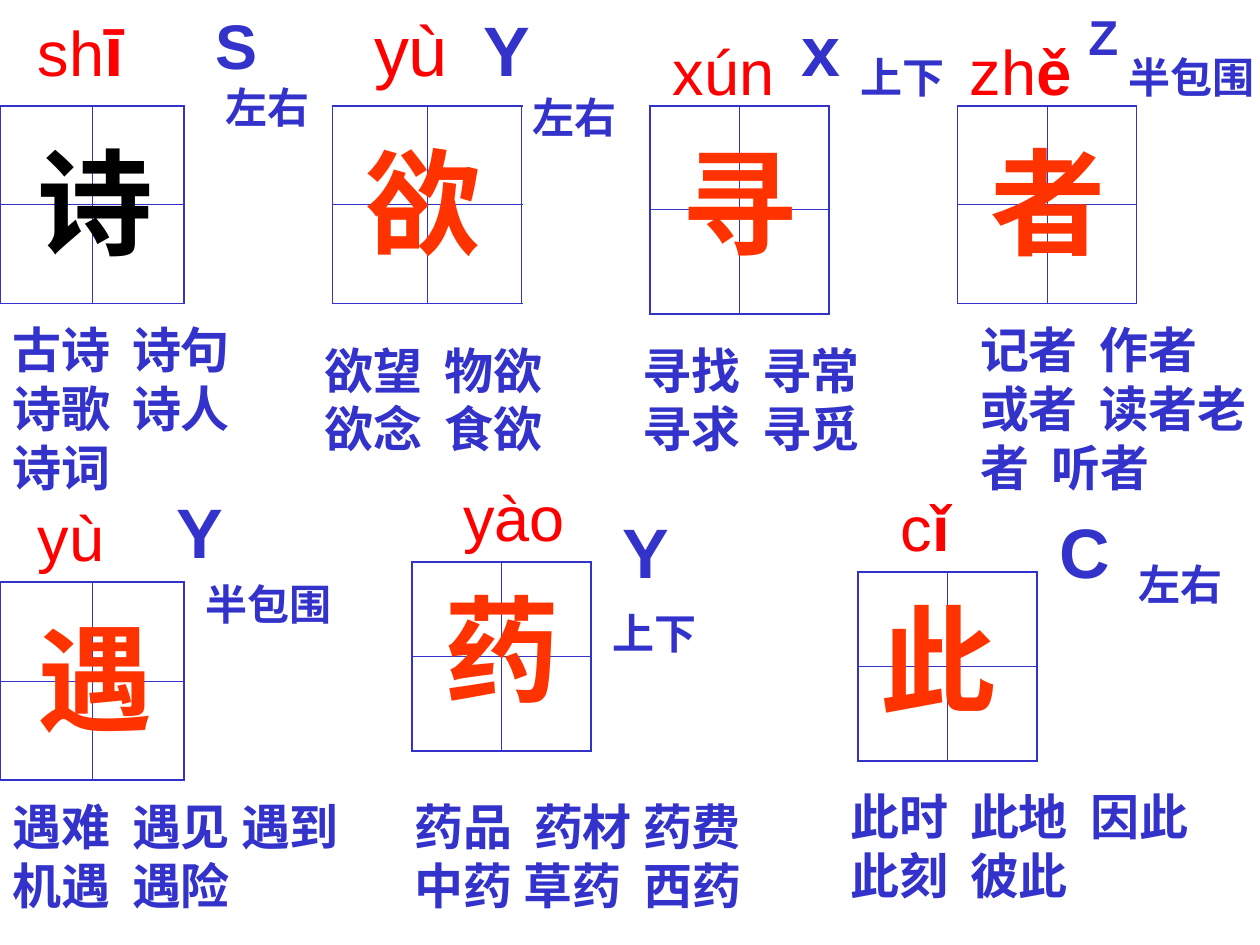
from lxml.etree import SubElement as Sub
from pptx import Presentation
from pptx.enum.text import MSO_AUTO_SIZE as Auto
from pptx.dml.color import RGBColor as RGB
from pptx.oxml.ns import qn
from pptx.util import Inches, Pt

INK = {"blue": "3333CC", "red": "FF0000", "orange": "FF3300", "black": "000000"}

deck = Presentation()
deck.slide_width, deck.slide_height = Inches(10), Inches(7.5)
slide = deck.slides.add_slide(deck.slide_layouts[6])
col, row = deck.slide_width / 100, deck.slide_height / 75


def label(place, runs, ink, lines=1, stops=()):
    """Add a text box; place is left, top, width and runs are (text, size, bold)."""
    x, y, w = place
    high = lines * Pt(runs[0][1]) * 1.2 + row
    box = slide.shapes.add_textbox(int(x * col), int(y * row), int(w * col), int(high))
    frame = box.text_frame
    frame.word_wrap = True
    frame.auto_size = Auto.SHAPE_TO_FIT_TEXT
    para = frame.paragraphs[0]
    if stops:
        tabs = Sub(para._p.get_or_add_pPr(), qn("a:tabLst"))
        for stop in stops:
            Sub(tabs, qn("a:tab"), pos=str(int(stop * col)), algn="l")
    for text, size, bold in runs:
        run = para.add_run()
        run.text = text
        run.font.name = "Arial"
        run.font.size = Pt(size)
        run.font.bold = bold
        run.font.color.rgb = RGB.from_string(INK[ink])


def grid(x, y, w, h):
    """Add a two by two writing square with a thick rim and a thin cross."""
    table = slide.shapes.add_table(
        2, 2, int(x * col), int(y * row), int(w * col), int(h * row)).table
    table.first_row = table.horz_banding = False
    for r in range(2):
        for c in range(2):
            cell = table.cell(r, c)
            rim = {"lnL": c == 0, "lnR": c == 1, "lnT": r == 0, "lnB": r == 1}
            for side, thick in rim.items():
                line = Sub(cell._tc.get_or_add_tcPr(), qn("a:" + side),
                           w=str(Pt(1.08 if thick else 0.45)))
                Sub(Sub(line, qn("a:solidFill")), qn("a:srgbClr"), val=INK["blue"])
            cell.fill.background()


# Character, its ink and place; square; pinyin runs and place;
# initial, size and place; structure and place
signs = [
    ("诗", "black", (2, 9.9, 10.2), (0, 8.4, 14.6, 15.7),
     [("sh", 36, False), ("ī", 40, True)], (2, 0, 16.5),
     "S", 36, (16.1, 0, 4.7), "左右", (16.9, 6, 9.5)),
    ("欲", "orange", (28, 9.9, 10.2), (26.4, 8.4, 15, 15.7),
     [("yù", 40, False)], (28.7, 0, 10.2),
     "Y", 40, (37.4, 0, 5.5), "左右", (41.3, 6.8, 12.6)),
    ("寻", "orange", (53.1, 9.9, 9.4), (51.6, 8.4, 14.2, 16.5),
     [("xún", 36, False)], (52.4, 2.1, 11),
     "x", 40, (62.6, 0, 4.7), "上下", (67.3, 3.6, 10.2)),
    ("者", "orange", (77.6, 9.9, 11), (76, 8.4, 14.2, 15.7),
     [("zh", 36, False), ("ě", 36, True)], (76, 2.1, 12.6),
     "Z", 28, (85.4, 0, 4.7), "半包围", (88.6, 3.6, 14.2)),
    ("遇", "orange", (2, 47.7, 9.5), (0, 46.2, 14.6, 15.7),
     [("yù", 36, False)], (2, 39.1, 10.2),
     "Y", 40, (13, 38.3, 6.3), "半包围", (15.3, 45.4, 13.4)),
    ("药", "orange", (34.3, 45.4, 12.6), (32.7, 44.6, 14.2, 15),
     [("yào", 36, False)], (35.8, 37.5, 12.6),
     "Y", 40, (48.4, 39.9, 5.5), "上下", (47.6, 47.7, 9.4)),
    ("此", "orange", (68.9, 46.2, 10.2), (68.1, 45.4, 14.2, 15),
     [("c", 36, False), ("ǐ", 36, True)], (70.5, 38.3, 11.8),
     "C", 40, (83.1, 39.9, 6.3), "左右", (89.4, 43.8, 10.6)),
]
for sign, ink, spot, square, sound, over, first, size, side, form, note in signs:
    grid(*square)
    label(over, sound, "red")
    label(side, [(first, size, True)], "blue")
    label(note, [(form, 24, True)], "blue")
    label(spot, [(sign, 66, True)], ink)

# Word lists: text, place, lines, tab stops in columns
words = [
    ("古诗\t诗句 诗歌\t诗人 诗词", (0, 24.9, 21.6), 3, [9.5]),
    ("欲望\t物欲 欲念\t食欲", (24.8, 26.5, 22.8), 2, [9.5]),
    ("寻找\t寻常 寻求\t寻觅", (50, 26.5, 23.6), 2, [9.5]),
    ("记者\t作者 或者\t读者老者\t听者", (76.8, 24.9, 23.2), 3, [5.7, 9.5]),
    ("遇难\t遇见 遇到 机遇\t遇险", (0, 62.7, 30.7), 2, [9.5]),
    ("药品\t药材 药费 中药 草药\t西药", (31.9, 62.7, 29.9), 2, [9.5, 18.2]),
    ("此时\t此地\t因此 此刻\t彼此", (66.5, 61.9, 29.9), 2, [9.5, 19.1]),
]
for text, place, lines, stops in words:
    label(place, [(text, 28, True)], "blue", lines, stops)

deck.save("out.pptx")
